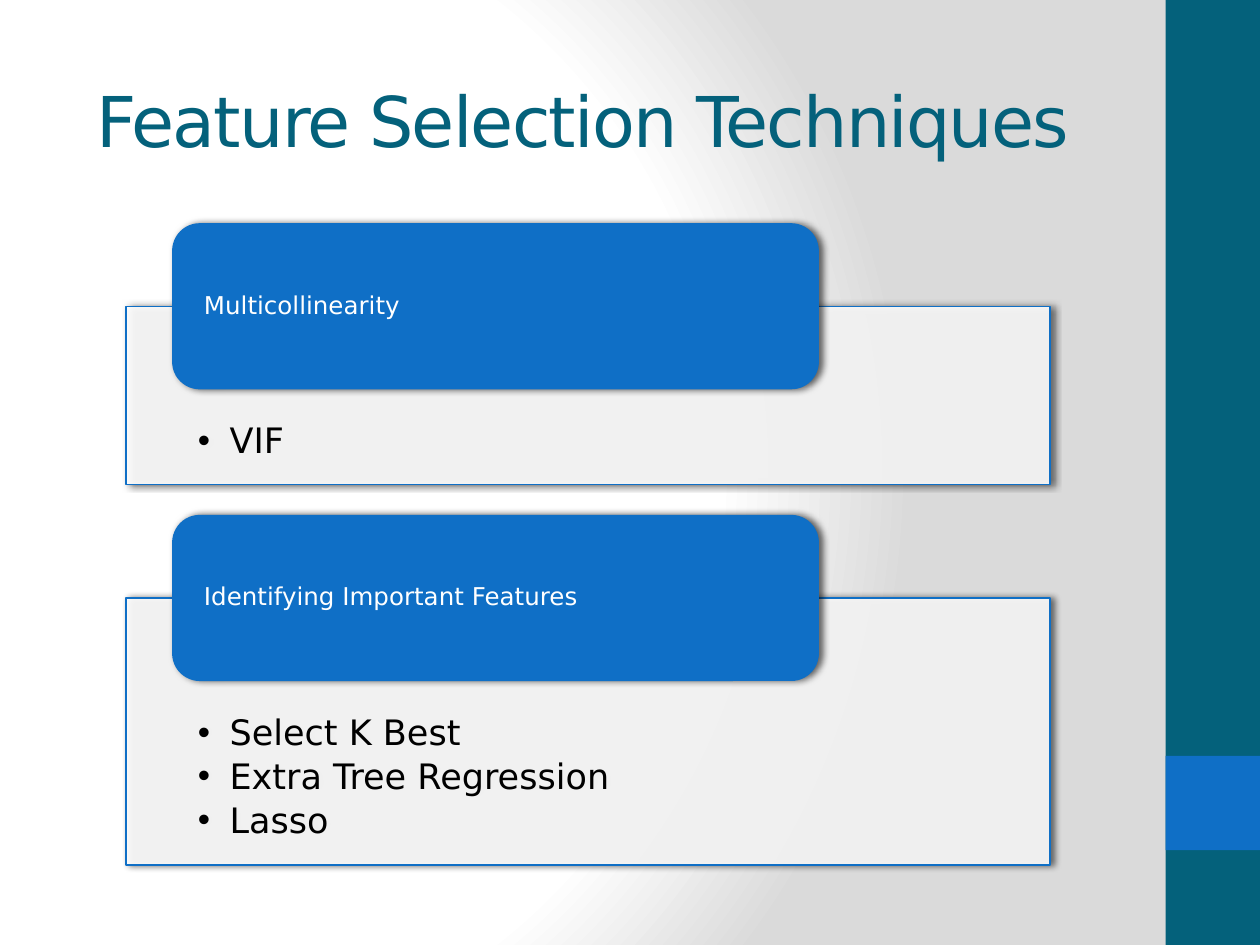
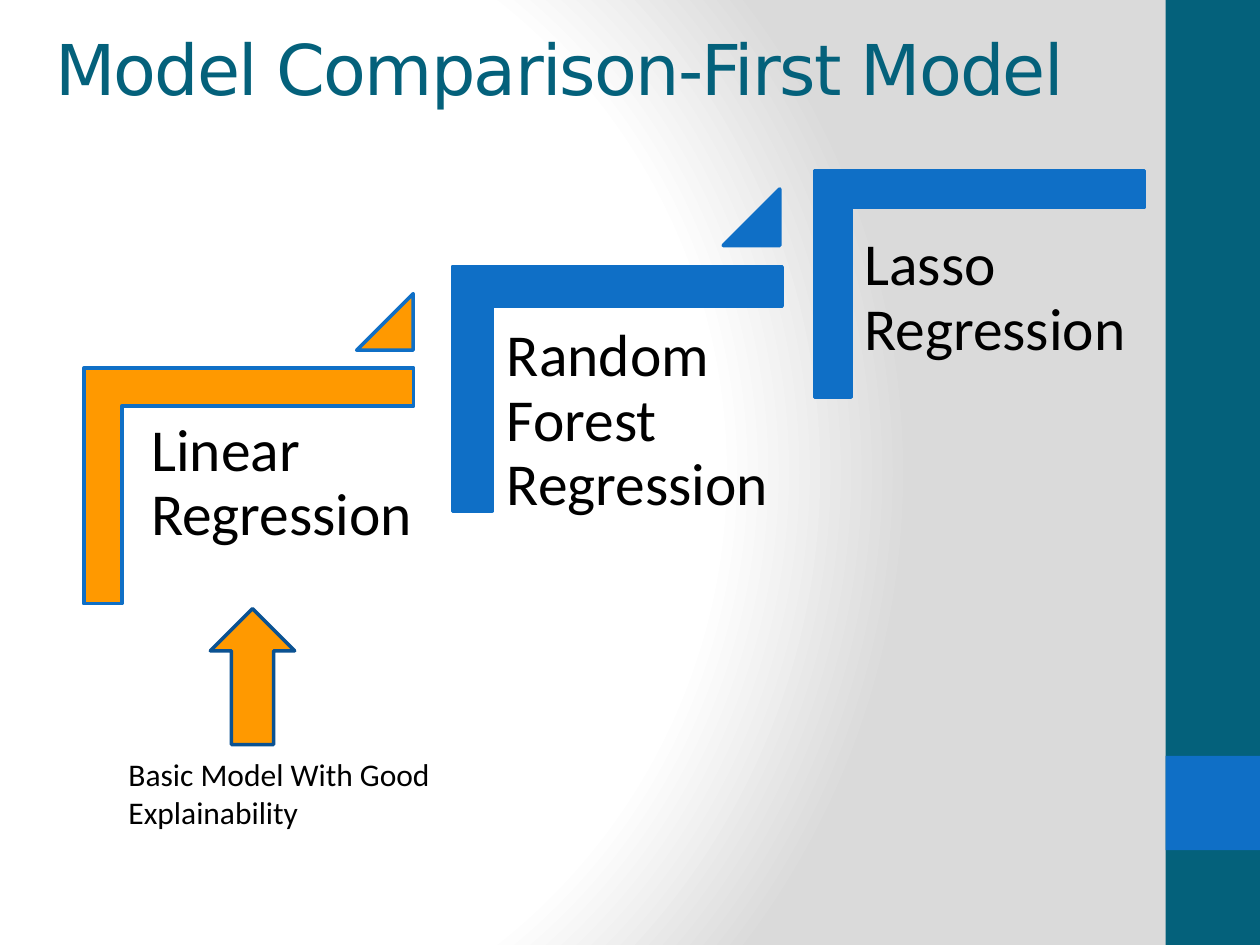
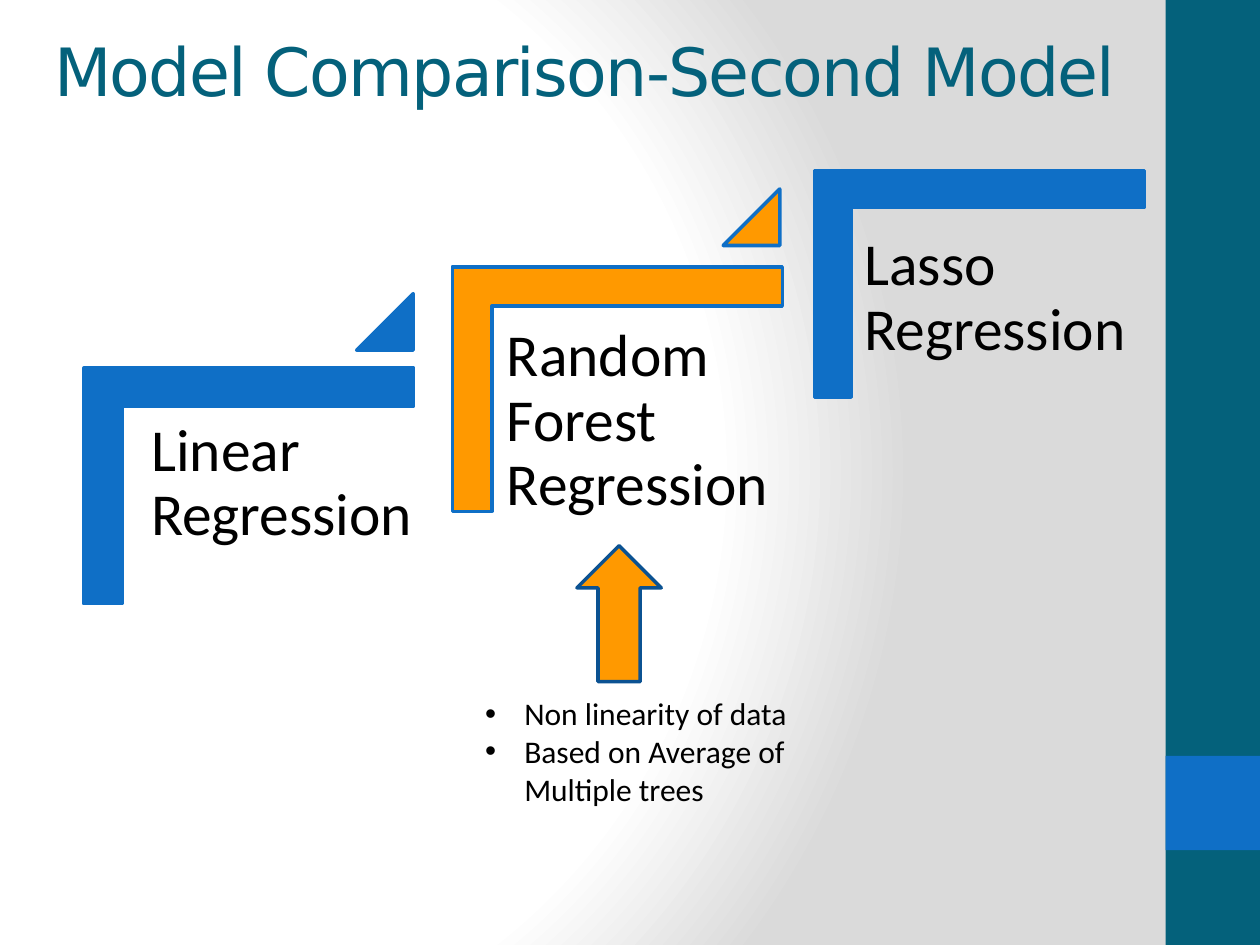
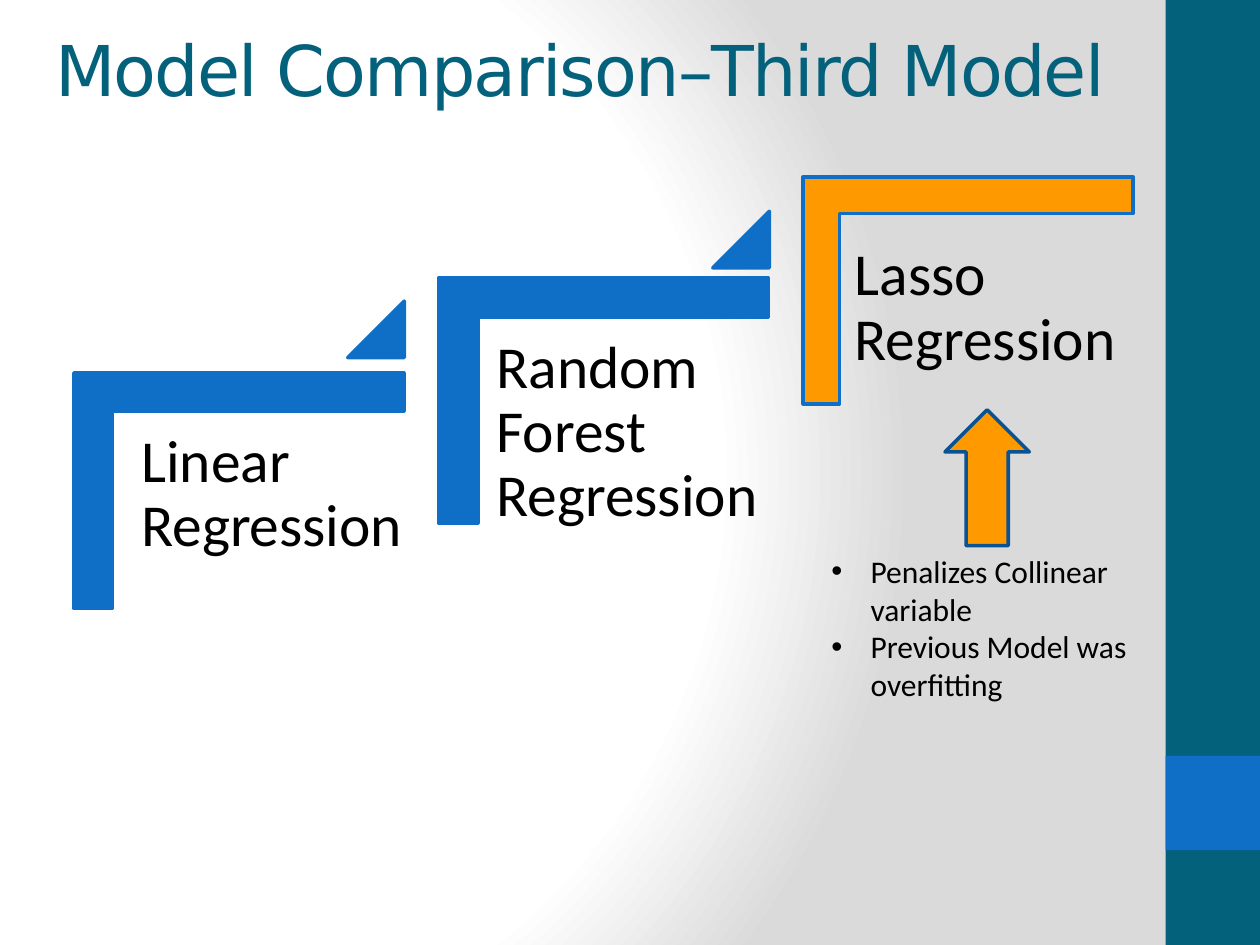
from pptx import Presentation
from pptx import util as u
from pptx.dml.color import RGBColor
from pptx.enum import shapes, text
from pptx.oxml import parse_xml
from pptx.oxml.ns import nsdecls, qn

COLORS = {"teal": "04617B", "blue": "0F6FC6", "navy": "0B5292", "orange": "FF9900",
          "white": "FFFFFF", "grey": "DADADA", "black": "000000"}
SHAPE = shapes.MSO_SHAPE
MIDDLE, BOTTOM = text.MSO_ANCHOR.MIDDLE, text.MSO_ANCHOR.BOTTOM

# Insets are left, top, right, bottom; indents and insets are in cm
TITLE = {"font": "DejaVu Sans", "size": 40, "color": "teal", "anchor": BOTTOM, "tracking": -100}
LONG_TITLE = {**TITLE, "size": 38}
HEADING = {"font": "DejaVu Sans", "size": 14, "color": "white", "anchor": MIDDLE,
           "insets": (0.48, 0, 0.48, 0), "line_spacing": 0.9}
TECHNIQUES = {"font": "DejaVu Sans", "size": 20, "color": "black", "level": 1, "bullet": 0.64,
              "insets": (1.45, 2.36, 1.45, 0.41), "line_spacing": 0.9, "space_after": u.Pt(3.5)}
MODEL = {"font": "Calibri", "size": 34, "color": "black", "insets": (0.36,) * 4,
         "line_spacing": 0.9}
REASON = {"font": "Calibri", "size": 18, "color": "black", "grow": True}
REASONS = {**REASON, "bullet": 0.79}


def add_shape(slide, kind, box, fill, line=None, width=2, rotation=0, adjust=(),
              alpha=None, shadow=False):
    shape = slide.shapes.add_shape(kind, *map(u.Cm, box))
    shape.shadow.inherit = False
    shape.rotation = rotation
    for i, value in enumerate(adjust):
        shape.adjustments[i] = value
    shape.fill.solid()
    shape.fill.fore_color.rgb = RGBColor.from_string(COLORS[fill])
    if line:
        shape.line.color.rgb = RGBColor.from_string(COLORS[line])
        shape.line.width = u.Pt(width)
    else:
        shape.line.fill.background()
    properties = shape.element.spPr
    if alpha:
        properties.find(qn("a:solidFill"))[0].append(
            parse_xml(f'<a:alpha {nsdecls("a")} val="{alpha * 1000}"/>'))
    if shadow:
        properties.find(qn("a:effectLst")).append(parse_xml(
            f'<a:outerShdw {nsdecls("a")} blurRad="{u.Pt(4)}" dist="{u.Pt(2)}" dir="0">'
            f'<a:srgbClr val="{COLORS["black"]}"><a:alpha val="60000"/></a:srgbClr>'
            '</a:outerShdw>'))
    return shape


def write(shape, lines, style):
    """Fill a shape with one paragraph a line."""
    frame = shape.text_frame
    frame.word_wrap = True
    frame.vertical_anchor = style.get("anchor", text.MSO_ANCHOR.TOP)
    if style.get("grow"):
        frame.auto_size = text.MSO_AUTO_SIZE.SHAPE_TO_FIT_TEXT
    for side, inset in zip(("left", "top", "right", "bottom"), style.get("insets", ())):
        setattr(frame, f"margin_{side}", u.Cm(inset))
    for i, line in enumerate(lines):
        paragraph = frame.add_paragraph() if i else frame.paragraphs[0]
        paragraph.alignment = text.PP_ALIGN.LEFT
        for name in ("level", "line_spacing", "space_after"):
            if name in style:
                setattr(paragraph, name, style[name])
        if "bullet" in style:
            indent = u.Cm(style["bullet"])
            layout = paragraph._p.get_or_add_pPr()
            layout.set("marL", str(indent))
            layout.set("indent", str(-indent))
            layout.append(parse_xml(f'<a:buFont {nsdecls("a")} typeface="Arial"/>'))
            layout.append(parse_xml(f'<a:buChar {nsdecls("a")} char="•"/>'))
        run = paragraph.add_run()
        run.text = line
        run.font.name = style["font"]
        run.font.size = u.Pt(style["size"])
        run.font.color.rgb = RGBColor.from_string(COLORS[style["color"]])
        if "tracking" in style:
            run.font._element.set("spc", str(style["tracking"]))


prs = Presentation()
prs.slide_width, prs.slide_height = u.Cm(25.4), u.Cm(19.05)

# Shared background
master = prs.slide_master
master.background.fill.gradient()
gradient = master.element.find(".//" + qn("a:gradFill"))
for child in list(gradient):
    gradient.remove(child)
gradient.attrib.pop("rotWithShape", None)
stops = "".join(f'<a:gs pos="{pos * 1000}"><a:srgbClr val="{COLORS[color]}"/></a:gs>'
                for pos, color in ((0, "white"), (75, "white"), (100, "grey")))
gradient.append(parse_xml(f'<a:gsLst {nsdecls("a")}>{stops}</a:gsLst>'))
gradient.append(parse_xml(
    f'<a:path {nsdecls("a")} path="circle">'
    '<a:fillToRect l="20000" t="50000" r="100000" b="50000"/></a:path>'))

# Titles and side bands; the longest title is set smaller to stay clear of the band
titles = [
    ("Feature Selection Techniques", (1.7, 1.47, 21.59, 1.91), TITLE),
    ("Model Comparison-First Model", (0.86, 0.46, 22.1, 1.88), TITLE),
    ("Model Comparison-Second Model", (0.84, 0.56, 22.6, 1.78), LONG_TITLE),
    ("Model Comparison–Third Model", (0.86, 0.48, 22.43, 1.88), TITLE),
]
slides = []
for title, box, style in titles:
    slide = prs.slides.add_slide(prs.slide_layouts[6])
    add_shape(slide, SHAPE.RECTANGLE, (23.5, 0, 1.9, 19.05), "teal")
    add_shape(slide, SHAPE.RECTANGLE, (23.5, 15.24, 1.9, 1.9), "blue")
    write(slide.shapes.add_textbox(*map(u.Cm, box)), [title], style)
    slides.append(slide)

# Feature selection: a panel of techniques under each heading
groups = [
    ("Multicollinearity", ["VIF"], 6.18, 3.59),
    ("Identifying Important Features",
     ["Select K Best", "Extra Tree Regression", "Lasso"], 12.06, 5.38),
]
for heading, techniques, top, height in groups:
    panel = add_shape(slides[0], SHAPE.RECTANGLE, (2.54, top, 18.63, height), "white",
                      "blue", 1, alpha=90, shadow=True)
    write(panel, techniques, TECHNIQUES)
    tab = add_shape(slides[0], SHAPE.ROUNDED_RECTANGLE, (3.47, top - 1.68, 13.04, 3.35),
                    "blue", shadow=True)
    write(tab, [heading], HEADING)

# Model comparison: the same staircase, with one step highlighted on each slide
models = ["Linear Regression", "Random Forest Regression", "Lasso Regression"]
corner_heights = [4.75, 4.93, 4.57]
stairs = {
    "corners": [(2.64, 6.47), (9.98, 4.52), (17.46, 2.4)],
    "labels": [(2.69, 8.1), (9.86, 6.2), (17.07, 4.37)],
    "triangles": [(7.19, 5.92), (14.58, 3.81)],
}
last_stairs = {
    "corners": [(2.44, 6.57), (9.7, 4.75), (17.23, 2.53)],
    "labels": [(2.49, 8.33), (9.65, 6.43), (16.87, 4.57)],
    "triangles": [(7.01, 6.07), (14.37, 4.26)],
}
comparisons = [
    (stairs, (4.24, 12.27), (2.34, 15.09, 6.78, 2.57), REASON,
     ["Basic Model With Good Explainability"]),
    (stairs, (11.63, 11), (9.53, 13.87, 6.78, 2.57), REASONS,
     ["Non linearity of data", "Based on Average of Multiple trees"]),
    (last_stairs, (19.05, 8.26), (16.51, 11, 6.78, 3.33), REASONS,
     ["Penalizes Collinear variable", "Previous Model was overfitting"]),
]
for chosen, (places, arrow, reason_box, style, reasons) in enumerate(comparisons):
    slide = slides[chosen + 1]
    for step, model in enumerate(models):
        fill = "orange" if step == chosen else "blue"
        add_shape(slide, SHAPE.CORNER, (*places["corners"][step], corner_heights[step], 6.65),
                  fill, "blue", rotation=90, adjust=(0.161, 0.161))
        label = slide.shapes.add_textbox(*map(u.Cm, (*places["labels"][step], 5.99, 5.26)))
        write(label, [model], MODEL)
        if step < len(places["triangles"]):
            add_shape(slide, SHAPE.ISOSCELES_TRIANGLE,
                      (*places["triangles"][step], 1.14, 1.14), fill, "blue", adjust=(1,))
    add_shape(slide, SHAPE.DOWN_ARROW, (*arrow, 1.7, 2.74), "orange", "navy", rotation=180)
    write(slide.shapes.add_textbox(*map(u.Cm, reason_box)), reasons, style)

prs.save("out.pptx")
